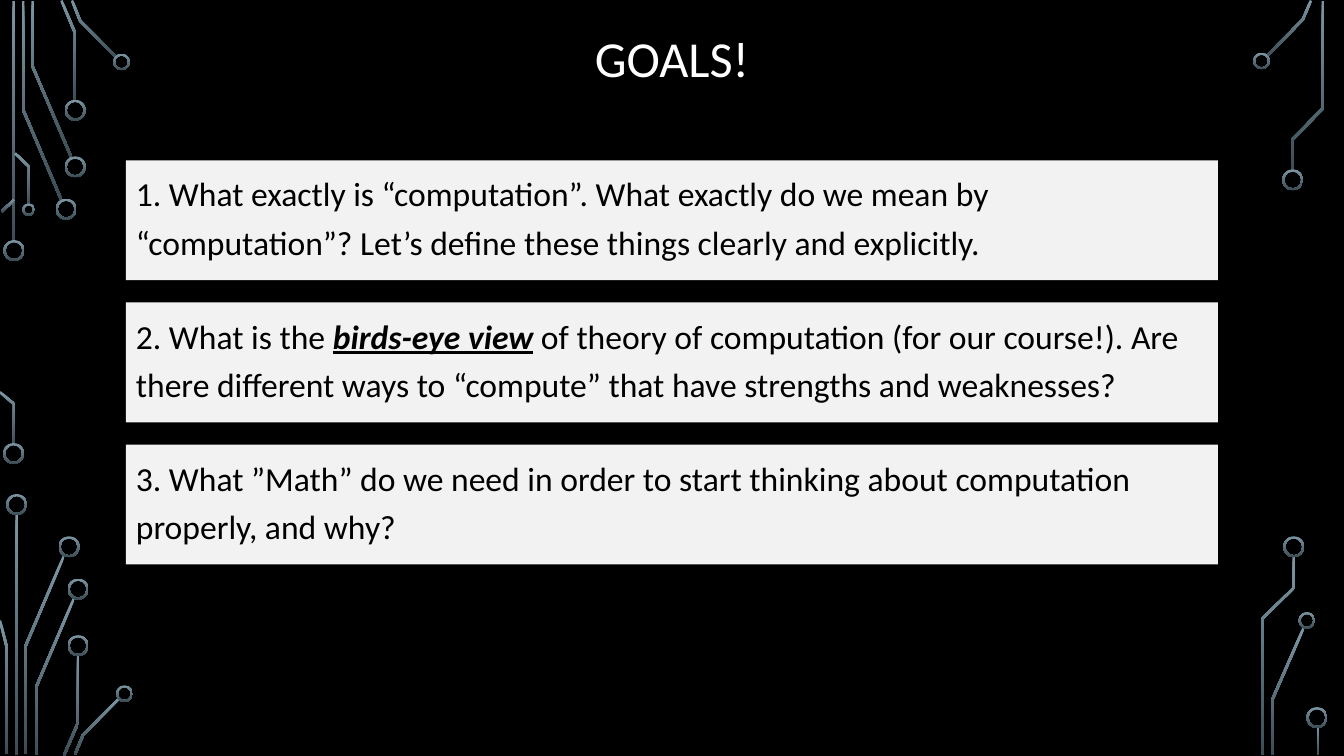
from math import hypot
from pptx import Presentation
from pptx.dml.color import RGBColor
from pptx.enum.shapes import MSO_SHAPE
from pptx.enum.text import MSO_ANCHOR, PP_ALIGN
from pptx.util import Pt

COLORS = {"back": "000000", "title": "FFFFFF", "card": "F2F2F2",
          "text": "000000", "light": "7C96A3", "dark": "3B4C54"}
FONT = "Calibri"
WIRE = 1.8
RIM = 1.44

WIRES = [
    [(9.7, 0.7), (9.7, 172.8)],
    [(43.9, 142.9), (16.6, 78.5), (16.6, 0.7)],
    [(51.1, 112.7), (23.4, 47.8), (23.4, 0.7)],
    [(53.7, 72), (53.7, 23.8), (43.9, 0.4)],
    [(83.2, 41), (57.2, 14.8), (51.5, 0.4)],
    [(1.1, 151.2), (10.1, 142.6)],
    [(10.1, 317.5), (10.1, 288.7), (0, 280.1)],
    [(20.9, 146.2), (20.9, 119.2), (10.8, 109.4)],
    [(11.9, 367.2), (11.9, 539.3)],
    [(18.4, 538.6), (18.4, 461.2), (45.7, 397.1)],
    [(4.7, 538.6), (4.7, 461.5), (0, 443.2)],
    [(25.6, 539.3), (25.6, 491.4), (52.9, 427.3)],
    [(45.7, 539.6), (55.8, 516.2), (55.8, 468)],
    [(53.6, 538.9), (59.4, 524.9), (85, 499)],
    [(905, 40), (930.6, 14), (936.4, 0.4)],
    [(909, 539.3), (909, 499.3), (931, 448.9)],
    [(923, 121.7), (923, 99.7), (945, 77.4), (945, 0.7)],
    [(901.8, 539.3), (901.8, 441.7), (924.1, 420.1), (924.1, 397.4)],
    [(941.4, 519.1), (941.4, 539.3)],
]

RINGS = {
    15: [(10, 179), (9.7, 324), (47.2, 149.4), (53.7, 119.2), (53.7, 78.8),
         (11.9, 360.4), (49.3, 390.6), (55.8, 420.8), (55.8, 461.2),
         (923.4, 128.5), (924.1, 390.6), (940.7, 512.6)],
    12: [(86.8, 44.3), (88.9, 495.5), (901.1, 43.6), (933.5, 443.2)],
    9: [(20.5, 149.8)],
}

GOALS = [
    ["1. What exactly is “computation”. What exactly do we mean by "
     "“computation”? Let’s define these things clearly and explicitly."],
    ["2. What is the ", "birds-eye view",
     " of theory of computation (for our course!). Are there different ways "
     "to “compute” that have strengths and weaknesses?"],
    ["3. What ”Math” do we need in order to start thinking about "
     "computation properly, and why?"],
]


def tint(name):
    return RGBColor.from_string(COLORS[name])


def shade(shape):
    shape.shadow.inherit = False
    shape.line.fill.background()
    shape.fill.gradient()
    shape.fill.gradient_angle = 270
    for stop, name, place in zip(shape.fill.gradient_stops, ("light", "dark"), (0, 1)):
        stop.color.rgb = tint(name)
        stop.position = place


def normal(start, end):
    run, rise = end[0] - start[0], end[1] - start[1]
    size = hypot(run, rise)
    return -rise / size, run / size


def outline(points):
    norms = [normal(a, b) for a, b in zip(points, points[1:])]
    left, right = [], []
    for (x, y), (ax, ay), (bx, by) in zip(points, norms[:1] + norms, norms + norms[-1:]):
        scale = WIRE / 2 / (1 + ax * bx + ay * by)
        dx, dy = (ax + bx) * scale, (ay + by) * scale
        left.append((Pt(x + dx), Pt(y + dy)))
        right.append((Pt(x - dx), Pt(y - dy)))
    return left + right[::-1]


def add_wire(slide, points):
    first, *rest = outline(points)
    pen = slide.shapes.build_freeform(*first)
    pen.add_line_segments(rest, close=True)
    shade(pen.convert_to_shape())


def add_ring(slide, x, y, size):
    ring = slide.shapes.add_shape(MSO_SHAPE.DONUT, Pt(x - size / 2), Pt(y - size / 2),
                                  Pt(size), Pt(size))
    ring.adjustments[0] = RIM / size
    shade(ring)


def style(run, size, name):
    run.font.name = FONT
    run.font.size = Pt(size)
    run.font.color.rgb = tint(name)


def add_title(slide, text):
    frame = slide.shapes.add_textbox(Pt(90), Pt(10), Pt(780), Pt(68)).text_frame
    frame.word_wrap = True
    frame.vertical_anchor = MSO_ANCHOR.MIDDLE
    frame.text = text
    para = frame.paragraphs[0]
    para.alignment = PP_ALIGN.CENTER
    para.line_spacing = 0.9
    style(para.runs[0], 36, "title")


def add_card(slide, top, parts):
    card = slide.shapes.add_shape(MSO_SHAPE.RECTANGLE, Pt(90), Pt(top), Pt(780), Pt(85.7))
    card.shadow.inherit = False
    card.line.fill.background()
    card.fill.solid()
    card.fill.fore_color.rgb = tint("card")
    frame = card.text_frame
    frame.word_wrap = True
    frame.vertical_anchor = MSO_ANCHOR.TOP
    para = frame.paragraphs[0]
    para.alignment = PP_ALIGN.LEFT
    para.line_spacing = 1.2
    para.space_before = Pt(10)
    for spot, part in enumerate(parts):
        run = para.add_run()
        run.text = part
        style(run, 24, "text")
        if spot == 1:
            run.font.bold = run.font.italic = run.font.underline = True


def main():
    deck = Presentation()
    deck.slide_width, deck.slide_height = Pt(960), Pt(540)
    slide = deck.slides.add_slide(deck.slide_layouts[6])
    slide.background.fill.solid()
    slide.background.fill.fore_color.rgb = tint("back")
    for points in WIRES:
        add_wire(slide, points)
    for size, spots in RINGS.items():
        for x, y in spots:
            add_ring(slide, x, y, size)
    add_title(slide, "GOALS!")
    for row, parts in enumerate(GOALS):
        add_card(slide, 114.5 + row * 101.5, parts)
    deck.save("out.pptx")


if __name__ == "__main__":
    main()
